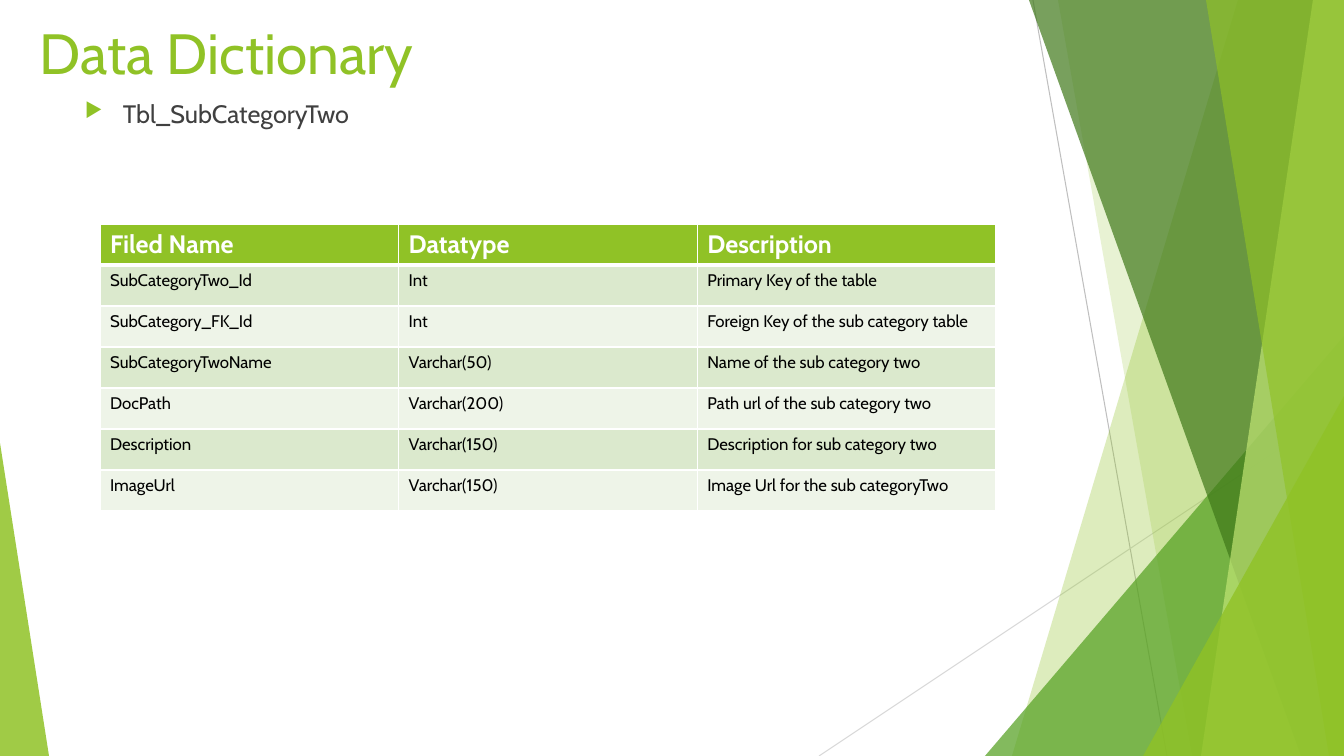
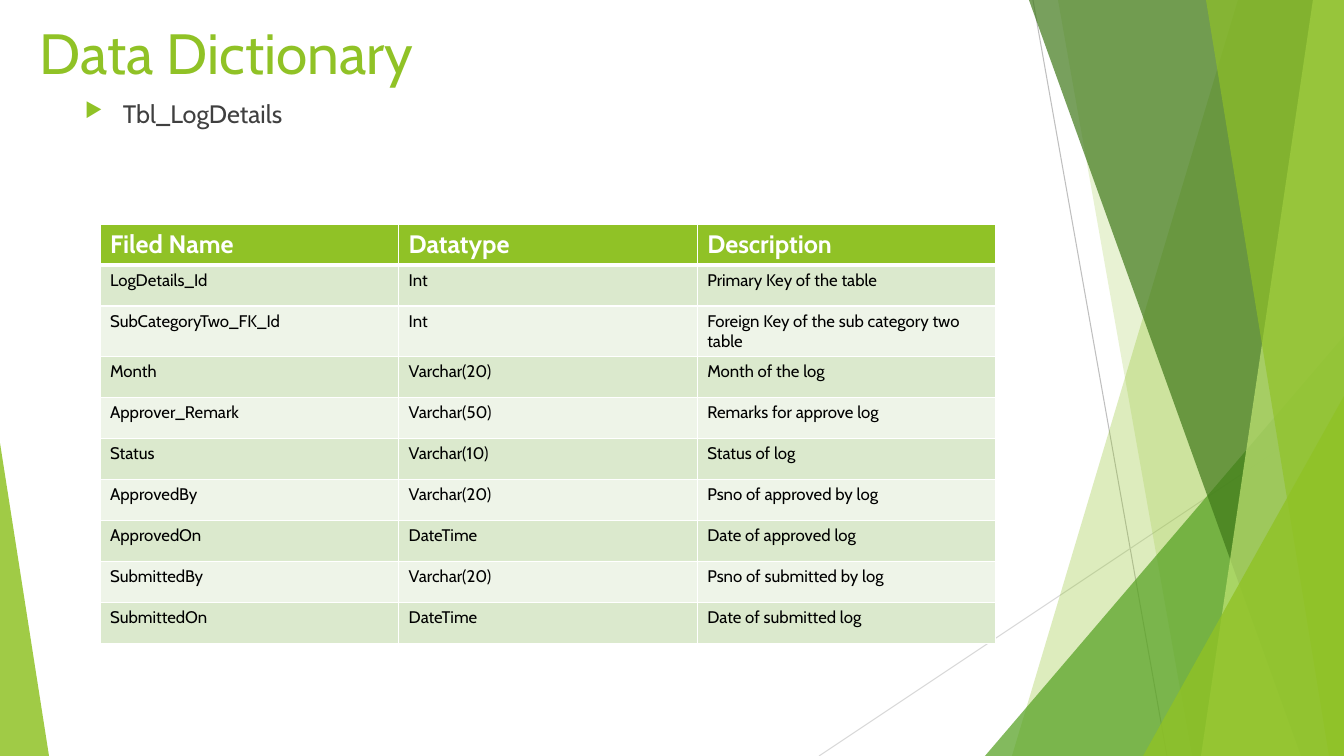
from collections import namedtuple
from dataclasses import dataclass

from lxml import etree
from pptx import Presentation
from pptx import util as u
from pptx.dml.color import RGBColor
from pptx.enum import shapes, text
from pptx.oxml.ns import qn

SLIDE_W, SLIDE_H = 1344, 756
EMU_PER_PX = 12192000 / SLIDE_W

Box = namedtuple("Box", "x y w h")


@dataclass(frozen=True)
class Theme:
    font: str = "Cabin"
    lime: str = "90C226"
    green: str = "54A021"
    forest: str = "3F7819"
    pale_lime: str = "C0E474"
    white: str = "FFFFFF"
    black: str = "000000"
    body: str = "404040"
    bands: tuple = ("DBE9CD", "EEF4E8")
    steep_line: str = "BFBFBF"
    flat_line: str = "D9D9D9"
    title_size: float = 40.5
    body_size: float = 18
    cell_size: float = 12
    hairline: float = 0.75
    border: float = 1
    header_rule: float = 3


T = Theme()

TITLE = Box(30, 13, 928, 80)
BODY = Box(75, 93, 948, 573)
TABLE = Box(100, 224, 896, 41)  # h is the height of one row
FACETS = Box(819, 0, 525, SLIDE_H)
WEDGE = Box(0, 443, 49, 313)

HEADER = ("Filed Name", "Datatype", "Description")
TABLES = {
    "Tbl_SubCategoryTwo": [
        ("SubCategoryTwo_Id", "Int", "Primary Key of the table"),
        ("SubCategory_FK_Id", "Int", "Foreign Key of the sub category table"),
        ("SubCategoryTwoName", "Varchar(50)", "Name of the sub category two"),
        ("DocPath", "Varchar(200)", "Path url of the sub category two"),
        ("Description", "Varchar(150)", "Description for sub category two"),
        ("ImageUrl", "Varchar(150)", "Image Url for the sub categoryTwo"),
    ],
    "Tbl_LogDetails": [
        ("LogDetails_Id", "Int", "Primary Key of the table"),
        ("SubCategoryTwo_FK_Id", "Int", "Foreign Key of the sub category two table"),
        ("Month", "Varchar(20)", "Month of the log"),
        ("Approver_Remark", "Varchar(50)", "Remarks for approve log"),
        ("Status", "Varchar(10)", "Status of log"),
        ("ApprovedBy", "Varchar(20)", "Psno of approved by log"),
        ("ApprovedOn", "DateTime", "Date of approved log"),
        ("SubmittedBy", "Varchar(20)", "Psno of submitted by log"),
        ("SubmittedOn", "DateTime", "Date of submitted log"),
    ],
}


def px(n):
    return u.Emu(round(n * EMU_PER_PX))


def rgb(color):
    return RGBColor.from_string(color)


def paint(sp, color, opacity):
    """Fill a shape without outline or shadow; opacity is a percentage."""
    sp.shadow.inherit = False
    sp.line.fill.background()
    sp.fill.solid()
    sp.fill.fore_color.rgb = rgb(color)
    clr = next(sp._element.spPr.iter(qn("a:srgbClr")))
    etree.SubElement(clr, qn("a:alpha"), val=str(opacity * 1000))


def add_line(s, x1, y1, x2, y2, color):
    line = s.shapes.add_connector(
        shapes.MSO_CONNECTOR.STRAIGHT, px(x1), px(y1), px(x2), px(y2))
    line.line.color.rgb = rgb(color)
    line.line.width = u.Pt(T.hairline)
    etree.SubElement(line._element.spPr, qn("a:effectLst"))


def add_triangle(s, box, apex, color, opacity):
    """Triangle whose apex lies at the given share of its width."""
    sp = s.shapes.add_shape(
        shapes.MSO_SHAPE.ISOSCELES_TRIANGLE, *(px(n) for n in box))
    sp.adjustments[0] = apex
    paint(sp, color, opacity)


def add_facets(s, box):
    """Two thin lines under translucent facets that meet the box's right edge."""
    right, bottom = box.x + box.w, box.y + box.h

    def band(top_x, bottom_x, color, opacity):
        fb = s.shapes.build_freeform(px(box.x + top_x), px(box.y), scale=1.0)
        fb.add_line_segments([(px(right), px(box.y)), (px(right), px(bottom)),
                              (px(box.x + bottom_x), px(bottom))])
        paint(fb.convert_to_shape(), color, opacity)

    def corner(x, y, color, opacity):
        corner_box = Box(box.x + x, box.y + y, box.w - x, box.h - y)
        add_triangle(s, corner_box, 1, color, opacity)

    add_line(s, box.x + 214, box.y, box.x + 348, bottom, T.steep_line)
    add_line(s, right, box.y + 406, box.x, bottom, T.flat_line)
    band(419, 193, T.lime, 30)
    band(239, 373, T.lime, 20)
    corner(166, 336, T.green, 72)
    band(210, 482, T.forest, 70)
    band(494, 382, T.pale_lime, 70)
    band(387, 510, T.lime, 65)
    corner(324, 396, T.lime, 80)


def style_text(p, size, color, bold=False):
    for r in p.runs:
        r.font.name = T.font
        r.font.size = u.Pt(size)
        r.font.bold = bold
        r.font.color.rgb = rgb(color)


def add_text(s, box, content, size, color):
    tf = s.shapes.add_textbox(*(px(n) for n in box)).text_frame
    tf.word_wrap = True
    tf.vertical_anchor = text.MSO_ANCHOR.TOP
    p = tf.paragraphs[0]
    p.text = content
    style_text(p, size, color)
    return p


def add_bullet(p, indent):
    pPr = p._p.get_or_add_pPr()
    pPr.set("marL", str(px(indent)))
    pPr.set("indent", str(px(-indent)))
    clr = etree.SubElement(pPr, qn("a:buClr"))
    etree.SubElement(clr, qn("a:srgbClr"), val=T.lime)
    etree.SubElement(pPr, qn("a:buSzPct"), val="80000")
    etree.SubElement(pPr, qn("a:buChar"), char="▶")


def set_borders(cell, top, bottom):
    tcPr = cell._tc.get_or_add_tcPr()
    sides = (("L", T.border), ("R", T.border), ("T", top), ("B", bottom))
    for i, (side, width) in enumerate(sides):
        ln = etree.Element(qn(f"a:ln{side}"), w=str(u.Pt(width)))
        fill = etree.SubElement(ln, qn("a:solidFill"))
        etree.SubElement(fill, qn("a:srgbClr"), val=T.white)
        tcPr.insert(i, ln)


def add_field_table(s, box, fields):
    rows = [HEADER, *fields]
    table = s.shapes.add_table(
        len(rows), len(HEADER), px(box.x), px(box.y),
        px(box.w), px(box.h * len(rows))).table
    table.horz_banding = False
    for col in table.columns:
        col.width = px(box.w / len(HEADER))
    for i, row in enumerate(rows):
        table.rows[i].height = px(box.h)
        header = i == 0
        for j, value in enumerate(row):
            cell = table.cell(i, j)
            cell.text = value
            cell.fill.solid()
            cell.fill.fore_color.rgb = rgb(T.lime if header else T.bands[(i - 1) % 2])
            style_text(cell.text_frame.paragraphs[0],
                       T.body_size if header else T.cell_size,
                       T.white if header else T.black, header)
            set_borders(cell, T.header_rule if i == 1 else T.border,
                        T.header_rule if header else T.border)


def add_dictionary_slide(prs, name, fields):
    s = prs.slides.add_slide(prs.slide_layouts[6])
    add_facets(s, FACETS)
    add_triangle(s, WEDGE, 0, T.lime, 85)
    add_text(s, TITLE, "Data Dictionary", T.title_size, T.lime)
    add_bullet(add_text(s, BODY, name, T.body_size, T.body), 38)
    add_field_table(s, TABLE, fields)


def main():
    prs = Presentation()
    prs.slide_width, prs.slide_height = px(SLIDE_W), px(SLIDE_H)
    for name, fields in TABLES.items():
        add_dictionary_slide(prs, name, fields)
    prs.save("out.pptx")


if __name__ == "__main__":
    main()
